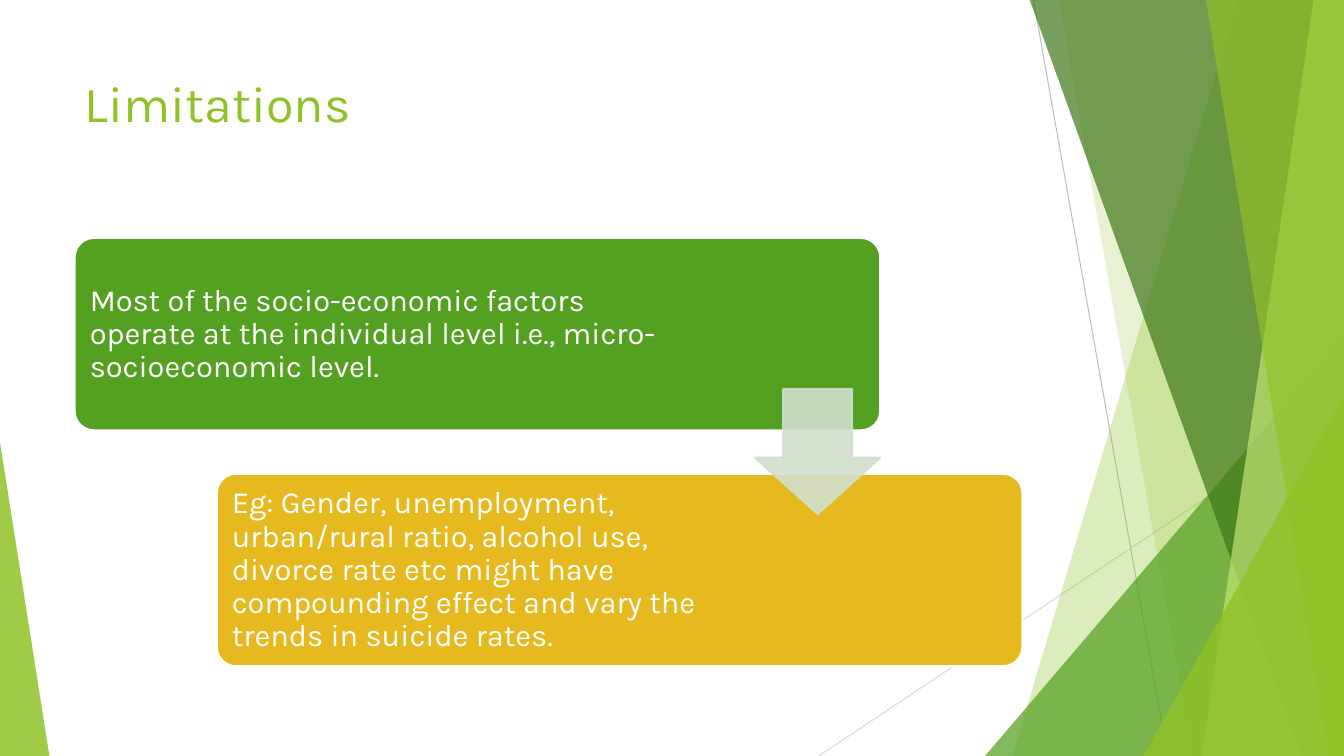
"""Build the Limitations slide with faceted green edges and two linked cards."""
import dataclasses
import typing

import lxml.etree
import pptx
import pptx.dml.color
import pptx.enum.shapes
import pptx.enum.text
import pptx.oxml.ns
import pptx.util

Inches = pptx.util.Inches
Shapes = pptx.enum.shapes.MSO_SHAPE
Anchor = pptx.enum.text.MSO_ANCHOR
Point = tuple[float, float]
Box = tuple[float, float, float, float]

FONT = "Karla"
WIDTH, HEIGHT = 13.33, 7.5
TOP = -0.01
COLORS = {
    "lime": "90C226",
    "green": "54A021",
    "forest": "3F7819",
    "pale_lime": "C0E474",
    "gold": "E6B91E",
    "mist": "D1DFCD",
    "white": "FFFFFF",
    "gray": "BFBFBF",
    "light_gray": "D9D9D9",
}


@dataclasses.dataclass(frozen=True)
class Ray:
    """A thin line behind the facets."""
    start: Point
    end: Point
    color: str


@dataclasses.dataclass(frozen=True)
class Band:
    """A translucent band running down to the right edge of the slide."""
    top_left: float
    bottom_left: float
    bottom_right: float
    color: str
    opacity: int


@dataclasses.dataclass(frozen=True)
class Wedge:
    """A translucent right triangle standing on the bottom edge."""
    left: float
    top: float
    width: float
    apex: float
    color: str
    opacity: int


@dataclasses.dataclass(frozen=True)
class Card:
    """A rounded card with its statement."""
    left: float
    top: float
    text_width: float
    color: str
    text: str


RAYS = [
    Ray((10.25, 0), (11.58, HEIGHT), "gray"),
    Ray((WIDTH, 4.03), (8.12, HEIGHT), "light_gray"),
]
FACETS = [
    Band(12.28, 10.04, WIDTH, "lime", 30),
    Band(10.5, 11.83, WIDTH, "lime", 20),
    Wedge(9.77, 3.33, 3.56, 1, "green", 72),
    Band(10.21, 12.91, WIDTH, "forest", 70),
    Band(13.03, 11.92, WIDTH, "pale_lime", 70),
    Band(11.96, 13.18, WIDTH, "lime", 65),
    Wedge(11.34, 3.93, 1.99, 1, "lime", 80),
    Wedge(0, 4.39, 0.49, 0, "lime", 85),
]
CARDS = [
    Card(0.74, 2.36, 6.02, "green",
         "Most of the socio-economic factors operate at the individual level "
         "i.e., micro-socioeconomic level."),
    Card(2.15, 4.7, 5.23, "gold",
         "Eg: Gender, unemployment, urban/rural ratio, alcohol use, divorce rate "
         "etc might have compounding effect and vary the trends in suicide rates."),
]


def rgb(name: str) -> pptx.dml.color.RGBColor:
    """Return the named colour."""
    return pptx.dml.color.RGBColor.from_string(COLORS[name])


def paint(shape: typing.Any, color: str, opacity: int = 100,
          outline: str | None = None) -> None:
    """Fill and outline a shape, with one opacity for both."""
    shape.shadow.inherit = False
    shape.fill.solid()
    shape.fill.fore_color.rgb = rgb(color)
    if outline:
        shape.line.color.rgb = rgb(outline)
        shape.line.width = pptx.util.Pt(1.5)
    else:
        shape.line.fill.background()
    if opacity < 100:
        for node in shape.element.spPr.iter(pptx.oxml.ns.qn("a:srgbClr")):
            alpha = lxml.etree.SubElement(node, pptx.oxml.ns.qn("a:alpha"))
            alpha.set("val", str(opacity * 1000))


def add_preset(slide: typing.Any, kind: Shapes, box: Box,
               adjustments: typing.Sequence[float], color: str, **look: typing.Any) -> None:
    """Add a painted preset shape."""
    shape = slide.shapes.add_shape(kind, *map(Inches, box))
    for index, value in enumerate(adjustments):
        shape.adjustments[index] = value
    paint(shape, color, **look)


def write_text(shape: typing.Any, text: str, *, size: float, color: str, anchor: Anchor,
               margins: Point, line_spacing: float = 1.0, space_after: float = 0) -> None:
    """Put one formatted paragraph into a shape."""
    frame = shape.text_frame
    frame.word_wrap = True
    frame.auto_size = pptx.enum.text.MSO_AUTO_SIZE.NONE
    frame.vertical_anchor = anchor
    frame.margin_left = frame.margin_right = Inches(margins[0])
    frame.margin_top = frame.margin_bottom = Inches(margins[1])
    paragraph = frame.paragraphs[0]
    paragraph.alignment = pptx.enum.text.PP_ALIGN.LEFT
    paragraph.line_spacing = line_spacing
    paragraph.space_after = pptx.util.Pt(space_after)
    run = paragraph.add_run()
    run.text = text
    run.font.name = FONT
    run.font.size = pptx.util.Pt(size)
    run.font.color.rgb = rgb(color)


def add_ray(slide: typing.Any, ray: Ray) -> None:
    """Add a thin line without a shadow."""
    connector = slide.shapes.add_connector(
        pptx.enum.shapes.MSO_CONNECTOR.STRAIGHT, *map(Inches, ray.start + ray.end))
    connector.line.color.rgb = rgb(ray.color)
    connector.line.width = pptx.util.Pt(0.75)
    lxml.etree.SubElement(connector.element.spPr, pptx.oxml.ns.qn("a:effectLst"))


def add_facet(slide: typing.Any, facet: Band | Wedge) -> None:
    """Add a translucent band or wedge."""
    if isinstance(facet, Wedge):
        box = (facet.left, facet.top, facet.width, HEIGHT - facet.top)
        add_preset(slide, Shapes.ISOSCELES_TRIANGLE, box, [facet.apex],
                   facet.color, opacity=facet.opacity)
        return
    builder = slide.shapes.build_freeform(Inches(facet.top_left), Inches(TOP))
    corners = [(WIDTH, TOP), (facet.bottom_right, HEIGHT), (facet.bottom_left, HEIGHT)]
    builder.add_line_segments([(Inches(x), Inches(y)) for x, y in corners])
    paint(builder.convert_to_shape(), facet.color, facet.opacity)


def add_card(slide: typing.Any, card: Card) -> None:
    """Add a card and its text."""
    add_preset(slide, Shapes.ROUNDED_RECTANGLE, (card.left, card.top, 7.99, 1.91),
               [0.1], card.color, outline="white")
    box = (card.left + 0.06, card.top + 0.06, card.text_width, 1.8)
    write_text(slide.shapes.add_textbox(*map(Inches, box)), card.text, size=22,
               color="white", anchor=Anchor.MIDDLE, margins=(0.09, 0.09),
               line_spacing=0.9, space_after=7.7)


def main() -> None:
    """Build and save the slide."""
    presentation = pptx.Presentation()
    presentation.slide_width = Inches(WIDTH)
    presentation.slide_height = Inches(HEIGHT)
    slide = presentation.slides.add_slide(presentation.slide_layouts.get_by_name("Title Only"))
    for ray in RAYS:
        add_ray(slide, ray)
    for facet in FACETS:
        add_facet(slide, facet)
    title = slide.shapes.title
    title.left, title.top, title.width, title.height = map(Inches, (0.74, 0.67, 9.4, 1.44))
    write_text(title, "Limitations", size=36, color="lime", anchor=Anchor.TOP,
               margins=(0.1, 0.05))
    for card in CARDS:
        add_card(slide, card)
    add_preset(slide, Shapes.DOWN_ARROW, (7.49, 3.86, 1.24, 1.24), [0.55, 0.45],
               "mist", opacity=90, outline="mist")
    presentation.save("out.pptx")


if __name__ == "__main__":
    main()
